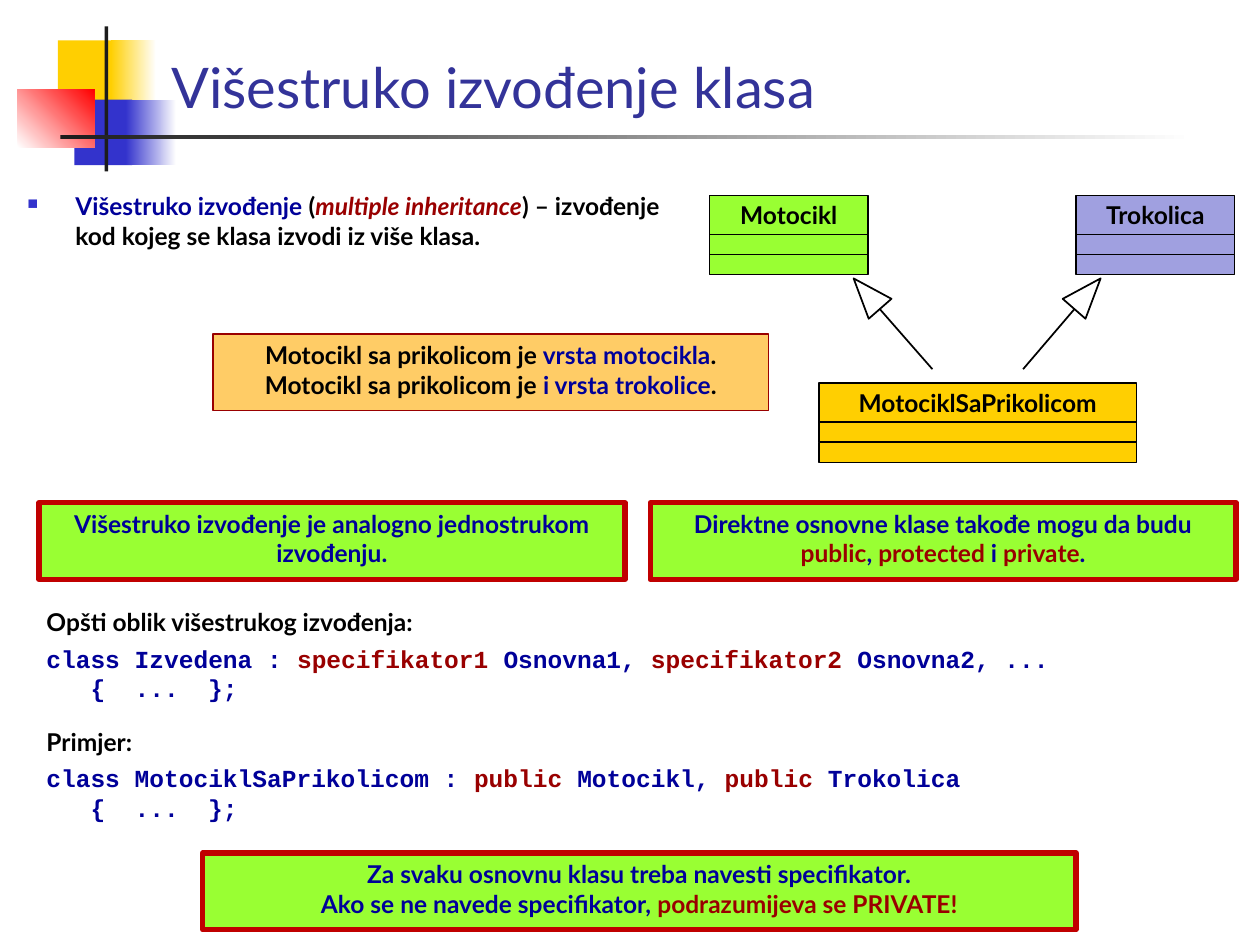
"""Build the slide on multiple inheritance of classes."""
from dataclasses import dataclass
from typing import NamedTuple

from lxml import etree
from pptx import Presentation
from pptx import util as u
from pptx.dml.color import RGBColor
from pptx.enum import shapes, text
from pptx.oxml import ns


@dataclass(frozen=True)
class Theme:
    font: str = "Lato"
    code_font: str = "Courier New"
    title_size: float = 32
    body_size: float = 14
    thin: float = 0.75
    arrow: float = 1
    thick: float = 3
    title: str = "333399"
    ink: str = "000000"
    navy: str = "000099"
    maroon: str = "990000"
    red: str = "C00000"
    bright_red: str = "FF0000"
    white: str = "FFFFFF"
    lime: str = "99FF33"
    lilac: str = "A0A0E0"
    gold: str = "FFCF01"
    peach: str = "FFCC66"
    blue: str = "3333CC"
    charcoal: str = "1C1C1C"


THEME = Theme()


class Area(NamedTuple):
    left: float
    top: float
    width: float
    height: float

    def lengths(self) -> list:
        return [u.Inches(value) for value in self]


class Span(NamedTuple):
    words: str
    color: str = THEME.ink
    italic: bool = False
    font: str = THEME.font
    size: float = THEME.body_size
    bold: bool = True


class Para(NamedTuple):
    spans: list[Span]
    before: float = 0
    indent: float = 0
    bullet: bool = False


class Decor(NamedTuple):
    area: Area
    start: str
    end: str | None = None
    angle: float = 0


class ClassBox(NamedTuple):
    name: str
    left: float
    top: float
    width: float
    fill: str


class Callout(NamedTuple):
    area: Area
    paras: list[Para]
    fill: str = THEME.lime
    line: str = THEME.red
    weight: float = THEME.thick


class Inheritance(NamedTuple):
    head: Area
    rotation: float
    start: tuple[float, float]
    end: tuple[float, float]


def navy(words: str) -> Span:
    return Span(words, THEME.navy)


def maroon(words: str, italic: bool = False) -> Span:
    return Span(words, THEME.maroon, italic)


def code(words: str, color: str = THEME.navy) -> Span:
    return Span(words, color, font=THEME.code_font)


def keyword(words: str) -> Span:
    return code(words, THEME.maroon)


def add_bullet(para) -> None:
    props = para._p.get_or_add_pPr()
    props.set("marL", str(u.Inches(0.38)))
    props.set("indent", str(-u.Inches(0.38)))
    color = etree.SubElement(props, ns.qn("a:buClr"))
    etree.SubElement(color, ns.qn("a:srgbClr"), val=THEME.blue)
    etree.SubElement(props, ns.qn("a:buSzPct"), val="60000")
    etree.SubElement(props, ns.qn("a:buChar"), char="■")


def write(box, paras: list[Para], align=text.PP_ALIGN.LEFT,
          anchor=text.MSO_ANCHOR.TOP, wrap: bool = True) -> None:
    frame = box.text_frame
    frame.word_wrap = wrap
    frame.vertical_anchor = anchor
    for index, item in enumerate(paras):
        para = frame.add_paragraph() if index else frame.paragraphs[0]
        para.alignment = align
        para.space_before = u.Pt(item.before)
        if item.indent:
            para._p.get_or_add_pPr().set("marL", str(u.Inches(item.indent)))
        if item.bullet:
            add_bullet(para)
        for span in item.spans:
            run = para.add_run()
            run.text = span.words
            run.font.name = span.font
            run.font.size = u.Pt(span.size)
            run.font.bold = span.bold
            run.font.italic = span.italic
            run.font.color.rgb = RGBColor.from_string(span.color)


def add_shape(page, kind, area: Area, fill: str | None = None,
              line: str | None = None, weight: float = THEME.thin):
    shape = page.shapes.add_shape(kind, *area.lengths())
    shape.shadow.inherit = False
    if fill:
        shape.fill.solid()
        shape.fill.fore_color.rgb = RGBColor.from_string(fill)
    else:
        shape.fill.background()
    if line:
        shape.line.color.rgb = RGBColor.from_string(line)
        shape.line.width = u.Pt(weight)
    else:
        shape.line.fill.background()
    return shape


def add_box(page, area: Area, fill: str, line: str | None = None, weight: float = THEME.thin):
    return add_shape(page, shapes.MSO_SHAPE.RECTANGLE, area, fill, line, weight)


def add_text(page, area: Area, paras: list[Para], anchor=text.MSO_ANCHOR.TOP) -> None:
    write(page.shapes.add_textbox(*area.lengths()), paras, anchor=anchor)


def add_decor(page, decor: Decor) -> None:
    box = add_box(page, decor.area, decor.start)
    if decor.end:
        box.fill.gradient()
        box.fill.gradient_angle = decor.angle
        for stop, color in zip(box.fill.gradient_stops, (decor.start, decor.end)):
            stop.color.rgb = RGBColor.from_string(color)


def add_class(page, item: ClassBox) -> None:
    top = item.top
    for index, height in enumerate((0.31, 0.16, 0.16)):
        box = add_box(page, Area(item.left, top, item.width, height), item.fill, THEME.ink)
        if index == 0:
            write(box, [Para([Span(item.name)])], text.PP_ALIGN.CENTER,
                  text.MSO_ANCHOR.MIDDLE, wrap=False)
        top += height


def add_inheritance(page, item: Inheritance) -> None:
    head = add_shape(page, shapes.MSO_SHAPE.ISOSCELES_TRIANGLE, item.head,
                     line=THEME.ink, weight=THEME.arrow)
    head.rotation = item.rotation
    ends = [u.Inches(value) for value in (*item.start, *item.end)]
    stem = page.shapes.add_connector(shapes.MSO_CONNECTOR.STRAIGHT, *ends)
    stem.line.color.rgb = RGBColor.from_string(THEME.ink)
    stem.line.width = u.Pt(THEME.arrow)
    etree.SubElement(stem._element.spPr, ns.qn("a:effectLst"))


def add_callout(page, item: Callout) -> None:
    box = add_box(page, item.area, item.fill, item.line, item.weight)
    write(box, item.paras, text.PP_ALIGN.CENTER)


def add_syntax(page, top: float, heading: str, declaration: list[Span]) -> None:
    add_text(page, Area(0.27, top, 9.45, 1.02), [
        Para([Span(heading)]),
        Para(declaration, before=4),
        Para([code("{  ...  };")], indent=0.35),
    ])


DECORS = [
    Decor(Area(0.46, 0.32, 0.48, 0.52), THEME.gold),
    Decor(Area(0.88, 0.32, 0.36, 0.52), THEME.gold, THEME.white),
    Decor(Area(0.59, 0.79, 0.46, 0.52), THEME.blue),
    Decor(Area(1, 0.79, 0.4, 0.52), THEME.blue, THEME.white),
    Decor(Area(0.14, 0.71, 0.61, 0.46), THEME.white, THEME.bright_red, 45),
    Decor(Area(0.83, 0.21, 0.03, 1.15), THEME.charcoal),
    Decor(Area(0.48, 1.07, 9, 0.03), THEME.charcoal, THEME.white),
]
CLASSES = [
    ClassBox("Motocikl", 5.63, 1.55, 1.26, THEME.lime),
    ClassBox("Trokolica", 8.54, 1.55, 1.26, THEME.lilac),
    ClassBox("MotociklSaPrikolicom", 6.5, 3.04, 2.52, THEME.gold),
]
INHERITANCES = [
    Inheritance(Area(6.76, 2.17, 0.24, 0.32), 318.9, (6.98, 2.45), (7.4, 2.93)),
    Inheritance(Area(8.51, 2.17, 0.24, 0.32), 41.1, (8.53, 2.45), (8.12, 2.93)),
]
CALLOUTS = [
    Callout(Area(1.69, 2.65, 4.41, 0.61),
            [Para([Span("Motocikl sa prikolicom je"), navy(kind), Span(".")])
             for kind in (" vrsta motocikla", " i vrsta trokolice")],
            THEME.peach, THEME.maroon, THEME.thin),
    Callout(Area(0.31, 3.99, 4.65, 0.61),
            [Para([navy("Višestruko izvođenje je analogno jednostrukom izvođenju.")])]),
    Callout(Area(5.16, 3.99, 4.65, 0.61),
            [Para([navy("Direktne osnovne klase takođe mogu da budu "), maroon("public"),
                   navy(", "), maroon("protected"), navy(" i "), maroon("private"), navy(".")])]),
    Callout(Area(1.61, 6.77, 6.93, 0.61),
            [Para([navy("Za svaku osnovnu klasu treba navesti specifikator.")]),
             Para([navy("Ako se ne navede specifikator, "),
                   maroon("podrazumijeva se PRIVATE!")])]),
]


def main() -> None:
    deck = Presentation()
    deck.slide_width, deck.slide_height = u.Inches(10), u.Inches(7.5)
    page = deck.slides.add_slide(deck.slide_layouts[6])
    for decor in DECORS:
        add_decor(page, decor)
    title = Span("Višestruko izvođenje klasa", THEME.title, size=THEME.title_size, bold=False)
    add_text(page, Area(1.26, 0.13, 8.74, 0.87), [Para([title])], text.MSO_ANCHOR.BOTTOM)
    add_text(page, Area(0.12, 1.47, 5.43, 0.71), [Para([
        navy("Višestruko izvođenje"), Span(" ("), maroon("multiple inheritance", italic=True),
        Span(") – izvođenje kod kojeg se klasa izvodi iz više klasa.")], bullet=True)])
    for item in CLASSES:
        add_class(page, item)
    for item in INHERITANCES:
        add_inheritance(page, item)
    for item in CALLOUTS:
        add_callout(page, item)
    add_syntax(page, 4.77, "Opšti oblik višestrukog izvođenja:", [
        code("class Izvedena : "), keyword("specifikator1 "), code("Osnovna1, "),
        keyword("specifikator2 "), code("Osnovna2, ...")])
    add_syntax(page, 5.72, "Primjer:", [
        code("class MotociklSaPrikolicom : "), keyword("public "), code("Motocikl, "),
        keyword("public "), code("Trokolica")])
    deck.save("out.pptx")


if __name__ == "__main__":
    main()
